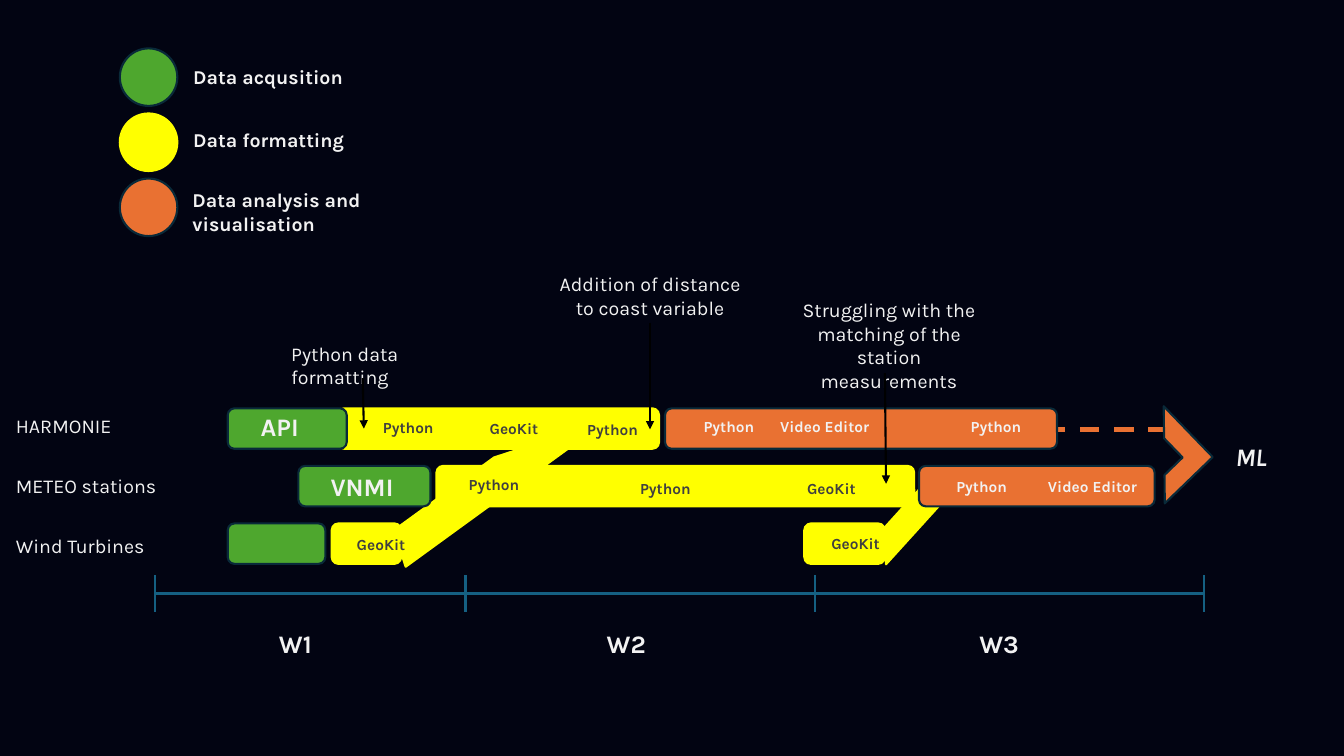
from dataclasses import dataclass

from lxml.etree import SubElement
from pptx import Presentation
from pptx.dml.color import RGBColor as RGB
from pptx.enum.dml import MSO_LINE as Dash
from pptx.enum.shapes import MSO_CONNECTOR as Link, MSO_SHAPE as Kind
from pptx.enum.text import MSO_AUTO_SIZE as Fit, PP_ALIGN as Align
from pptx.oxml.ns import qn
from pptx.util import Cm, Pt


@dataclass
class Theme:
    back = RGB.from_string("020412")
    green = RGB.from_string("4EA72E")
    yellow = RGB.from_string("FFFF00")
    orange = RGB.from_string("E97132")
    edge = RGB.from_string("092A39")
    blue = RGB.from_string("156082")
    black = RGB.from_string("000000")
    light = RGB.from_string("F2F2F2")
    dark = RGB.from_string("404040")
    font = "Karla"
    big = 18
    mid = 14
    small = 11


def draw_line(home, x1, y1, x2, y2, color, width=1.5):
    line = home.add_connector(Link.STRAIGHT, Cm(x1), Cm(y1), Cm(x2), Cm(y2))
    line.line.color.rgb = color
    line.line.width = Pt(width)
    SubElement(line._element.spPr, qn("a:effectLst"))
    return line


def write(home, text, x, y, wide, size, color=Theme.light, bold=False,
          italic=False, align=Align.LEFT, rows=1):
    """Add a text box whose height follows from the type size and row count."""
    high = 0.25 + rows * size * 0.0425
    frame = home.add_textbox(Cm(x), Cm(y), Cm(wide), Cm(high)).text_frame
    frame.word_wrap = True
    frame.auto_size = Fit.SHAPE_TO_FIT_TEXT
    para = frame.paragraphs[0]
    para.alignment = align
    run = para.add_run()
    run.text = text
    run.font.name = Theme.font
    run.font.size = Pt(size)
    run.font.bold = bold
    run.font.italic = italic
    run.font.color.rgb = color


deck = Presentation()
deck.slide_width, deck.slide_height = Cm(33.87), Cm(19.05)
slide = deck.slides.add_slide(deck.slide_layouts[6])
slide.background.fill.solid()
slide.background.fill.fore_color.rgb = Theme.back
items = slide.shapes

# Dashed lead to the result
lead = draw_line(items, 22.05, 10.82, 29.34, 10.82, Theme.orange, 3.5)
lead.line.dash_style = Dash.DASH

# Bars, links between rows, arrow head and legend dots, from back to front
top, step, high = 10.29, 1.45, 1.02
bars = [  # row, left, width, colour
    (2, 5.74, 2.46, Theme.green),
    (1, 7.52, 3.33, Theme.green),
    (0, 8.51, 8.1, Theme.yellow),
    (1, 11, 12.04, Theme.yellow),
    (2, 8.36, 1.75, Theme.yellow),
    (2, 20.27, 2.03, Theme.yellow),
    (0, 16.76, 9.88, Theme.orange),
    (1, 23.16, 5.94, Theme.orange),
    (0, 5.74, 3, Theme.green),
]
parts = [
    (Kind.DIAGONAL_STRIPE, 9.78, 11.48, 5.94, 1.93, Theme.yellow, 342),
    (Kind.DIAGONAL_STRIPE, 22.33, 12.29, 1.75, 1.93, Theme.yellow, 0),
]
for row, x, wide, color in bars:
    parts.append((Kind.ROUNDED_RECTANGLE, x, top + row * step, wide, high, color, 0))
parts.append((Kind.HALF_FRAME, 28.5, 10.57, 1.68, 1.78, Theme.orange, 136))
for i, color in enumerate([Theme.green, Theme.yellow, Theme.orange]):
    parts.append((Kind.OVAL, 3.02, 1.22 + i * 1.64, 1.45, 1.45, color, 0))

for kind, x, y, wide, tall, color, turn in parts:
    part = items.add_shape(kind, Cm(x), Cm(y), Cm(wide), Cm(tall))
    part.shadow.inherit = False
    part.rotation = turn
    part.fill.solid()
    part.fill.fore_color.rgb = color
    part.line.color.rgb = color if color == Theme.yellow else Theme.edge
    part.line.width = Pt(1.5)
    if kind == Kind.HALF_FRAME:
        part.adjustments[0], part.adjustments[1] = 0.31, 0.33

# Week scale
scale = items.add_group_shape().shapes
ticks = [3.91, 11.73, 20.55, 30.35]
draw_line(scale, ticks[0], 14.96, ticks[-1], 14.96, Theme.blue, 2)
for x in ticks:
    draw_line(scale, x, 14.5, x, 15.42, Theme.blue)
for i, x in enumerate([6.78, 15.04, 24.43], 1):
    write(scale, f"W{i}", x, 15.7, 1.73, Theme.big, bold=True)

# Row names and legend
for row, name in enumerate(["HARMONIE", "METEO stations", "Wind Turbines"]):
    write(items, name, 0.15, 10.31 + row * 1.51, 4.5, Theme.mid)
for name, x, y, rows in [
    ("Data acqusition", 4.62, 1.5, 1),
    ("Data formatting", 4.62, 3.1, 1),
    ("Data analysis and visualisation", 4.6, 4.62, 2),
]:
    write(items, name, x, y, 5.49, Theme.mid, bold=True, rows=rows)

# Notes, each with an arrow to its moment
for note, x, y, rows, align, arrow in [
    ("Python data formatting", 7.09, 8.48, 2, Align.LEFT,
     (9.14, 9.53, 9.17, 10.8)),
    ("Struggling with the matching of the station measurements",
     19.66, 7.39, 4, Align.CENTER, (22.3, 9.4, 22.33, 12.19)),
    ("Addition of distance to coast variable", 13.64, 6.73, 2, Align.CENTER,
     (16.38, 8.13, 16.38, 10.82)),
]:
    write(items, note, x, y, 5.49, Theme.mid, align=align, rows=rows)
    line = draw_line(items, *arrow, Theme.black)
    SubElement(line.line._get_or_add_ln(), qn("a:tailEnd"), type="triangle")

# Sources and result
write(items, "API", 6.32, 10.24, 1.83, Theme.big, bold=True)
write(items, "VNMI", 8.08, 11.76, 2.18, Theme.big, bold=True)
write(items, "ML", 30.89, 11, 1.45, Theme.big, bold=True, italic=True)

# Tools on the bars
for tool, x, y, color in [
    ("Python", 9.4, 10.41, Theme.dark),
    ("GeoKit", 12.09, 10.44, Theme.dark),
    ("Python", 14.55, 10.46, Theme.dark),
    ("Python", 17.48, 10.39, Theme.light),
    ("Video Editor", 19.41, 10.39, Theme.light),
    ("Python", 24.21, 10.39, Theme.light),
    ("Python", 11.56, 11.86, Theme.dark),
    ("Python", 15.88, 11.94, Theme.dark),
    ("GeoKit", 20.09, 11.94, Theme.dark),
    ("Python", 23.85, 11.89, Theme.light),
    ("Video Editor", 26.16, 11.89, Theme.light),
    ("GeoKit", 8.74, 13.36, Theme.dark),
    ("GeoKit", 20.7, 13.34, Theme.dark),
]:
    wide = 3.18 if tool == "Video Editor" else 1.83
    write(items, tool, x, y, wide, Theme.small, color, bold=True)

deck.save("out.pptx")
